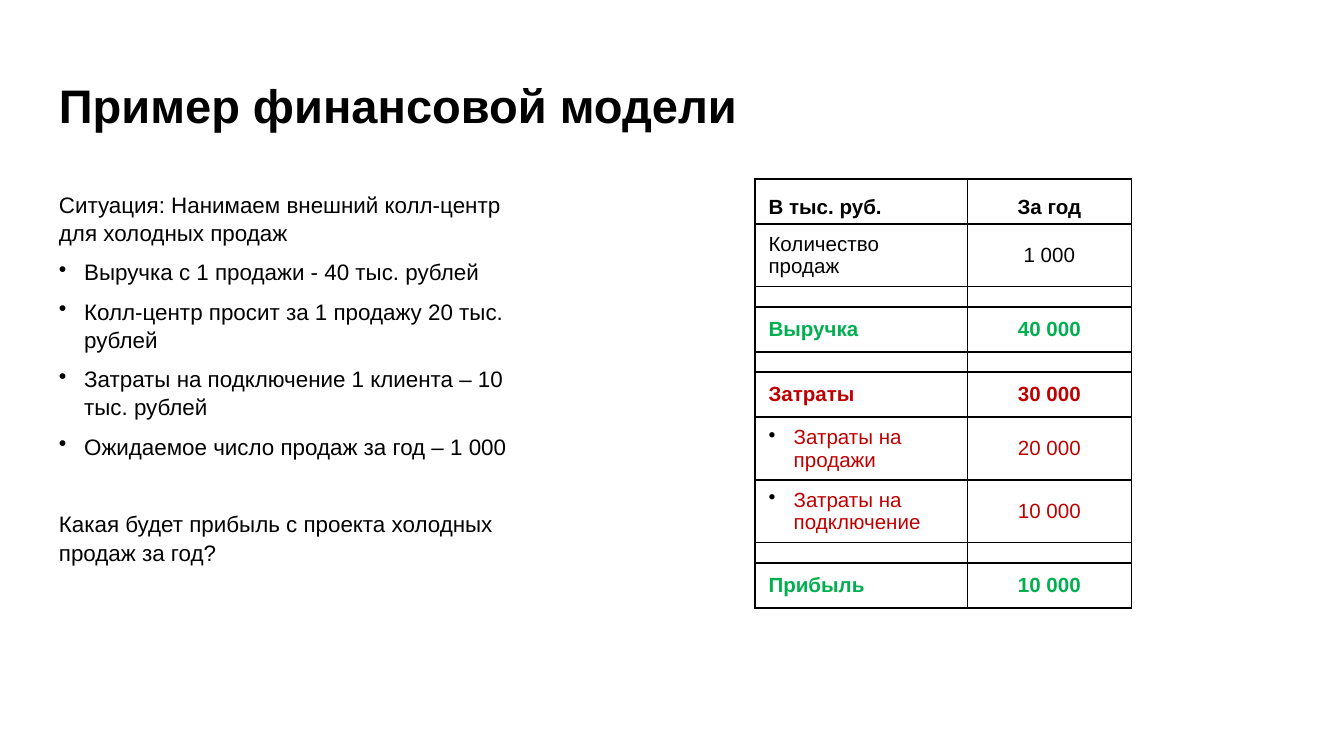
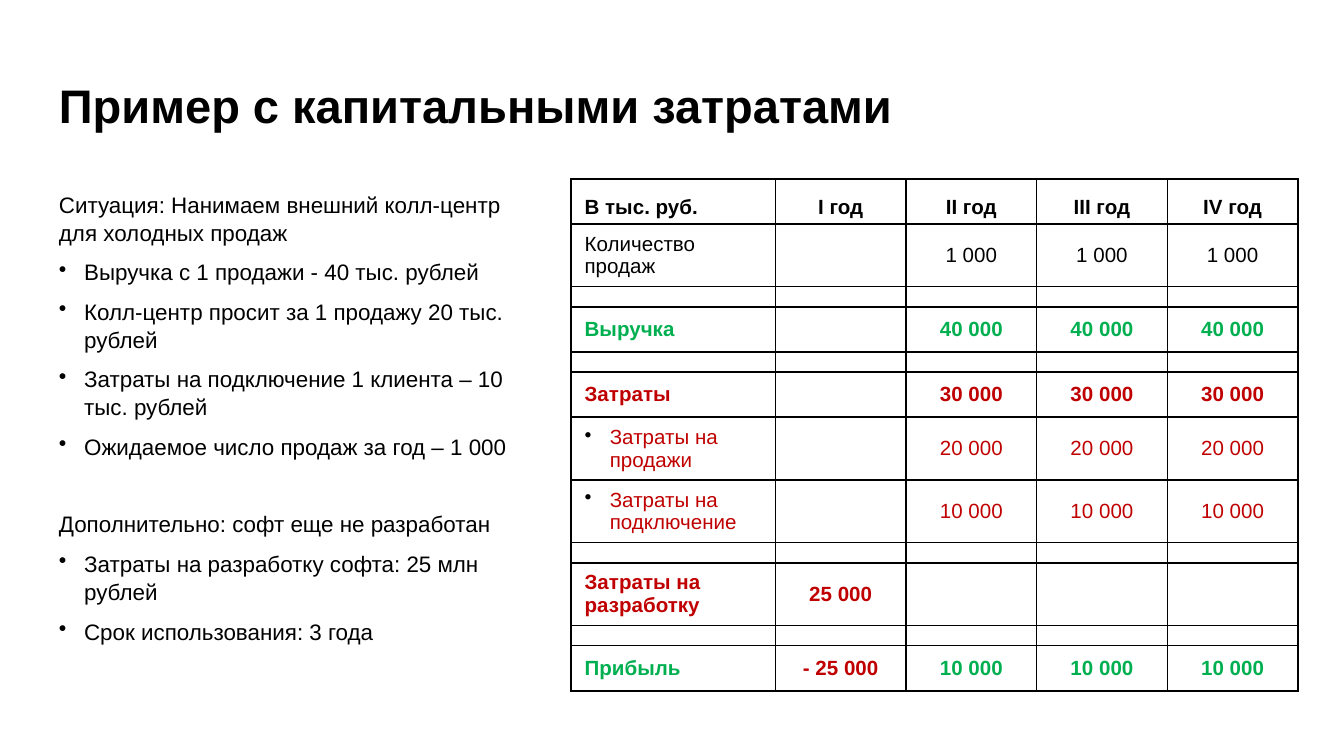
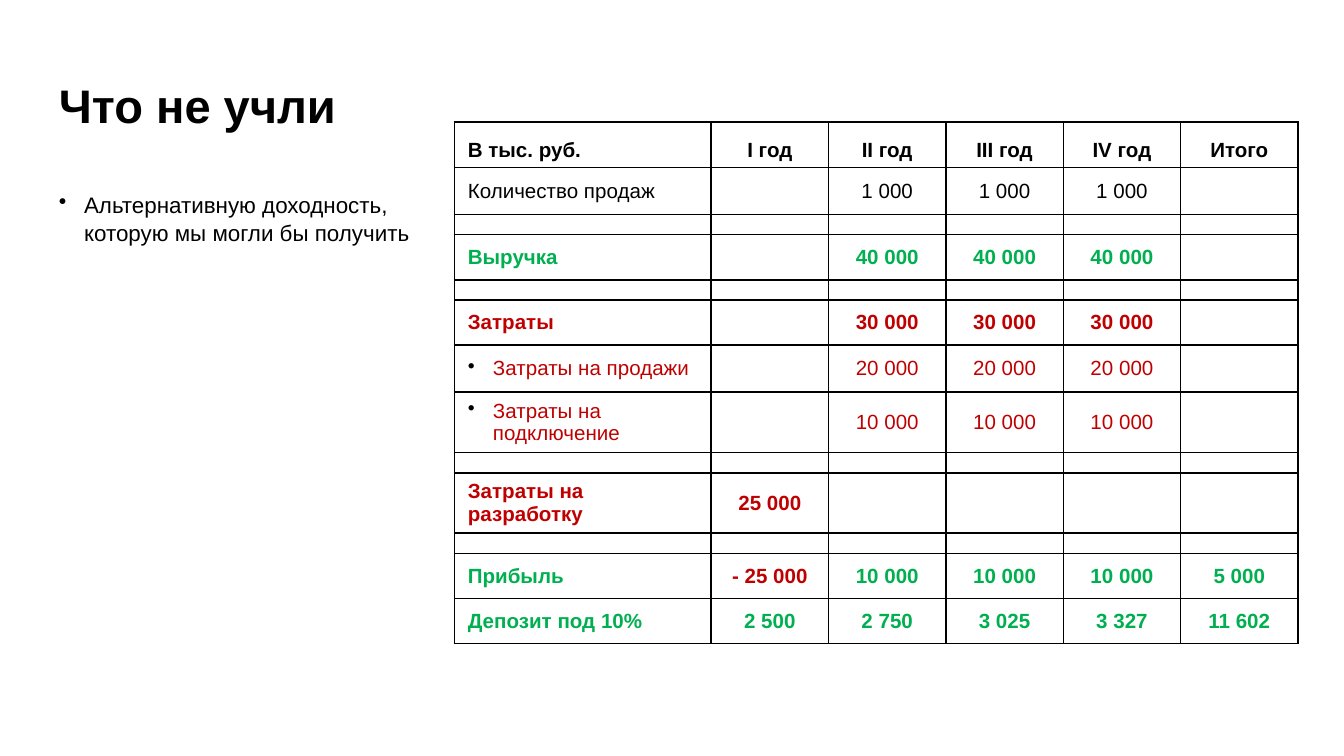
"""Build three slides that walk through a simple financial model."""
from lxml.etree import SubElement
from pptx import Presentation
from pptx.dml.color import RGBColor
from pptx.enum.text import MSO_ANCHOR, MSO_AUTO_SIZE, PP_ALIGN
from pptx.oxml.ns import qn
from pptx.util import Pt

COLORS = {"text": "000000", "income": "00B050", "cost": "C00000"}
FONT = "Arial"
TITLE_SIZE, BODY_SIZE, TABLE_SIZE, SPACER_SIZE = 25.2, 12, 11, 3
ROW_HEIGHT, SPACER_HEIGHT = 24.2, 10.8
LEFT, BULLET_INDENT = 24.5, 13.5

STYLES = {
    "header": ("text", True),
    "count": ("text", False),
    "income": ("income", True),
    "cost": ("cost", True),
    "item": ("cost", False),
}

SPACER = ("", "count", None)
OPERATIONS = [
    ("Количество продаж", "count", "1 000"),
    SPACER,
    ("Выручка", "income", "40 000"),
    SPACER,
    ("Затраты", "cost", "30 000"),
    ("Затраты на продажи", "item", "20 000"),
    ("Затраты на подключение", "item", "10 000"),
    SPACER,
]
YEARS = ["I год", "II год", "III год", "IV год"]
DEVELOPMENT = ["25 000", "", "", ""]
PROFIT = ["- 25 000", "10 000", "10 000", "10 000"]

SITUATION = [
    ("Ситуация: Нанимаем внешний колл-центр для холодных продаж", "plain"),
    ("Выручка с 1 продажи - 40 тыс. рублей", "bullet"),
    ("Колл-центр просит за 1 продажу 20 тыс. рублей", "bullet"),
    ("Затраты на подключение 1 клиента – 10 тыс. рублей", "bullet"),
    ("Ожидаемое число продаж за год – 1 000", "bullet"),
]


def model_rows(periods, launch, years, totals, closing):
    """Put the yearly figures between blank launch and total columns."""
    rows = [("В тыс. руб.", "header", periods)]
    for label, style, value in OPERATIONS:
        figures = [""] * launch + [value or ""] * years + [""] * totals
        rows.append((label, style, figures))
    return rows + closing


BLANK_ROW = ("", "count", [""] * 5)
WRAPPED_HEIGHTS = dict.fromkeys(
    ["Количество продаж", "Затраты на продажи", "Затраты на подключение",
     "Затраты на разработку"], 33.6)

SLIDES = [
    {
        "title": "Пример финансовой модели",
        "notes": SITUATION + [
            ("Какая будет прибыль с проекта холодных продаж за год?", "new part")],
        "notes_size": (265.7, 203.8),
        "corner": (404.5, 95.8),
        "columns": [113.8] + [87.8],
        "heights": WRAPPED_HEIGHTS,
        "rows": model_rows(["За год"], 0, 1, 0, [("Прибыль", "income", ["10 000"])]),
    },
    {
        "title": "Пример с капитальными затратами",
        "notes": SITUATION + [
            ("Дополнительно: софт еще не разработан", "new part"),
            ("Затраты на разработку софта: 25 млн рублей", "bullet"),
            ("Срок использования: 3 года", "bullet")],
        "notes_size": (265.7, 244.8),
        "corner": (306, 95.8),
        "columns": [109.4] + [70] * 4,
        "heights": WRAPPED_HEIGHTS,
        "rows": model_rows(YEARS, 1, 3, 0, [
            ("Затраты на разработку", "cost", DEVELOPMENT),
            BLANK_ROW,
            ("Прибыль", "income", PROFIT)]),
    },
    {
        "title": "Что не учли",
        "notes": [("Альтернативную доходность, которую мы могли бы получить", "bullet")],
        "notes_size": (218.9, 36),
        "corner": (243.4, 65.5),
        "columns": [137.6] + [62.9] * 5,
        "heights": {"Количество продаж": 25.2, "Затраты на продажи": 25.2,
                    "Затраты на подключение": 31.6, "Затраты на разработку": 31.6},
        "rows": model_rows(YEARS + ["Итого"], 1, 3, 1, [
            ("Затраты на разработку", "cost", DEVELOPMENT + [""]),
            BLANK_ROW,
            ("Прибыль", "income", PROFIT + ["5 000"]),
            ("Депозит под 10%", "income",
             ["2 500", "2 750", "3 025", "3 327", "11 602"])]),
    },
]


def write(paragraph, text, size, color="text", bold=False):
    font = paragraph.font
    font.name, font.size, font.bold = FONT, Pt(size), bold
    font.color.rgb = RGBColor.from_string(COLORS[color])
    if text:
        paragraph.add_run().text = text
    else:
        SubElement(paragraph._p, qn("a:endParaRPr"), sz=str(size * 100))


def add_bullet(paragraph):
    properties = paragraph._p.get_or_add_pPr()
    properties.set("marL", str(Pt(BULLET_INDENT)))
    properties.set("indent", str(-Pt(BULLET_INDENT)))
    bullet_color = properties.makeelement(qn("a:buClr"), {})
    SubElement(bullet_color, qn("a:srgbClr"), val=COLORS["text"])
    bullet = properties.makeelement(qn("a:buChar"), {"char": "•"})
    font_properties = properties.find(qn("a:defRPr"))
    font_properties.addprevious(bullet_color)
    font_properties.addprevious(bullet)


def add_borders(cell):
    properties = cell._tc.get_or_add_tcPr()
    for position, side in enumerate(("lnL", "lnR", "lnT", "lnB")):
        border = properties.makeelement(qn(f"a:{side}"), {"w": str(Pt(1))})
        fill = SubElement(border, qn("a:solidFill"))
        SubElement(fill, qn("a:srgbClr"), val=COLORS["text"])
        properties.insert(position, border)


def add_title(slide, title):
    frame = slide.shapes.add_textbox(Pt(LEFT), Pt(33.1), Pt(671), Pt(45.4)).text_frame
    frame.word_wrap = True
    frame.vertical_anchor = MSO_ANCHOR.BOTTOM
    frame.margin_top = frame.margin_bottom = Pt(7.2)
    write(frame.paragraphs[0], title, TITLE_SIZE, bold=True)


def add_notes(slide, notes, size):
    width, height = size
    frame = slide.shapes.add_textbox(Pt(LEFT), Pt(97.9), Pt(width), Pt(height)).text_frame
    frame.word_wrap = True
    frame.auto_size = MSO_AUTO_SIZE.SHAPE_TO_FIT_TEXT
    for index, (text, kind) in enumerate(notes):
        paragraph = frame.add_paragraph() if index else frame.paragraphs[0]
        write(paragraph, text, BODY_SIZE)
        paragraph.line_spacing = 1.05
        paragraph.space_after = Pt(6)
        if kind == "bullet":
            add_bullet(paragraph)
        elif kind == "new part":
            paragraph.space_before = Pt(20.5)


def fill_cell(cell, text, style, is_label, size):
    color, bold = STYLES[style]
    cell.fill.background()
    cell.margin_top = cell.margin_bottom = Pt(3)
    cell.vertical_anchor = MSO_ANCHOR.BOTTOM if style == "header" else MSO_ANCHOR.MIDDLE
    paragraph = cell.text_frame.paragraphs[0]
    write(paragraph, text, size, "cost" if text.startswith("-") else color, bold)
    if not is_label:
        paragraph.alignment = PP_ALIGN.CENTER
    elif style == "item":
        add_bullet(paragraph)
    add_borders(cell)


def add_model(slide, rows, corner, columns, heights):
    row_heights = [heights.get(label, ROW_HEIGHT) if label else SPACER_HEIGHT
                   for label, _, _ in rows]
    left, top = corner
    model = slide.shapes.add_table(
        len(rows), len(columns), Pt(left), Pt(top),
        Pt(sum(columns)), Pt(sum(row_heights))).table
    model.first_row = model.horz_banding = False
    for column, width in zip(model.columns, columns):
        column.width = Pt(width)
    for row, height, (label, style, figures) in zip(model.rows, row_heights, rows):
        row.height = Pt(height)
        size = TABLE_SIZE if label else SPACER_SIZE
        for index, (cell, text) in enumerate(zip(row.cells, [label] + figures)):
            fill_cell(cell, text, style, index == 0, size)


def main():
    deck = Presentation()
    deck.slide_width, deck.slide_height = Pt(720), Pt(405)
    for content in SLIDES:
        slide = deck.slides.add_slide(deck.slide_layouts[6])
        add_title(slide, content["title"])
        add_notes(slide, content["notes"], content["notes_size"])
        add_model(slide, content["rows"], content["corner"],
                  content["columns"], content["heights"])
    deck.save("out.pptx")


if __name__ == "__main__":
    main()
